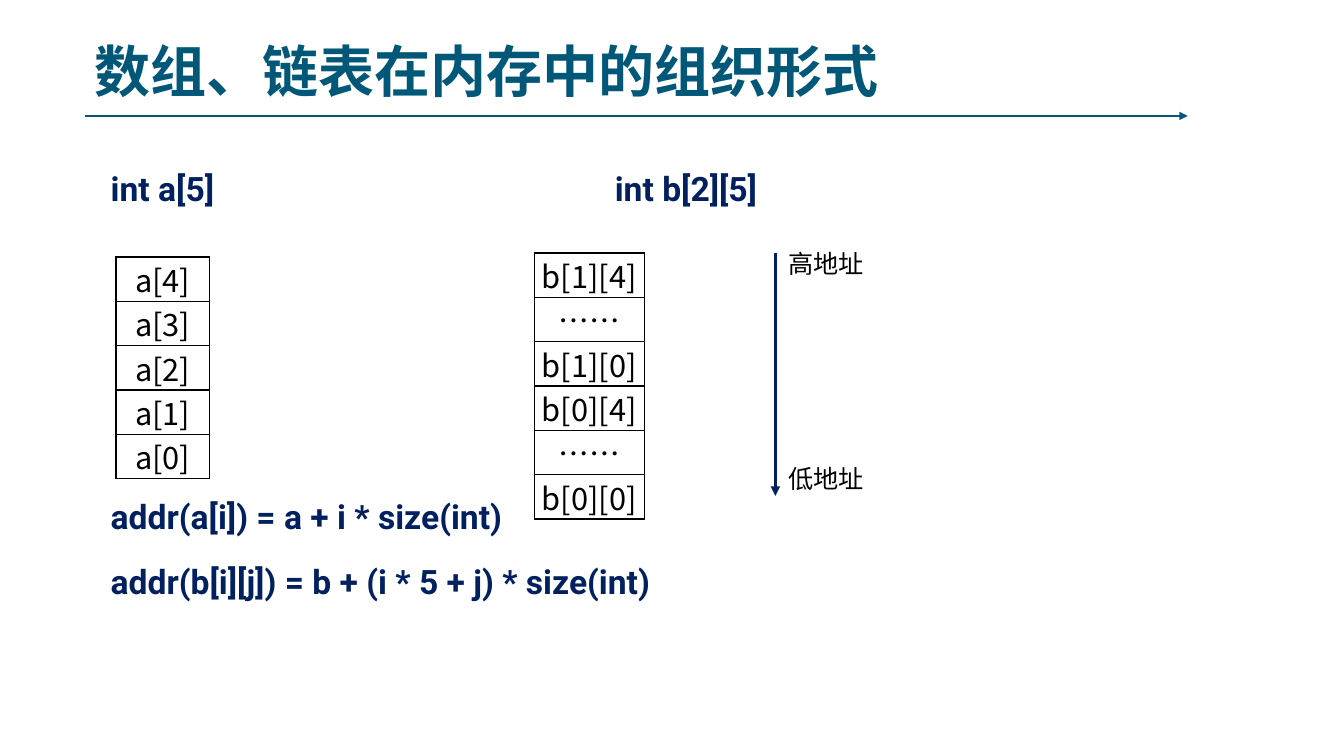
from lxml import etree
from pptx import Presentation
from pptx.dml.color import RGBColor
from pptx.enum.shapes import MSO_CONNECTOR
from pptx.enum.text import MSO_ANCHOR, PP_ALIGN
from pptx.oxml.ns import qn
from pptx.util import Inches, Pt

STRAIGHT = MSO_CONNECTOR.STRAIGHT
TOP, MIDDLE, BOTTOM = MSO_ANCHOR.TOP, MSO_ANCHOR.MIDDLE, MSO_ANCHOR.BOTTOM
CENTER = PP_ALIGN.CENTER

TEAL = RGBColor(0x00, 0x57, 0x78)
NAVY = RGBColor(0x00, 0x20, 0x60)
BLACK = RGBColor(0x00, 0x00, 0x00)

TITLE = {"size": Pt(40), "name": "Noto Sans CJK SC", "bold": True}
CODE = {"size": Pt(24), "name": "Roboto", "bold": True}
CELL = {"size": Pt(22), "name": "Noto Sans CJK SC"}
LABEL = {"size": Pt(18), "name": "Lato"}

ROW_HEIGHT = 0.44


def add_run(p, text, style, color):
    r = p.add_run()
    r.text = text
    for key, value in style.items():
        setattr(r.font, key, value)
    r.font.color.rgb = color
    ea = etree.SubElement(r._r.get_or_add_rPr(), qn("a:ea"))
    ea.set("typeface", style["name"])


def add_text(s, box, lines, style, color, anchor=TOP):
    tf = s.shapes.add_textbox(*map(Inches, box)).text_frame
    tf.word_wrap = True
    tf.vertical_anchor = anchor
    for i, line in enumerate(lines):
        p = tf.paragraphs[0]
        if i:
            p = tf.add_paragraph()
            p.space_before = Pt(18)
        add_run(p, line, style, color)


def add_arrow(s, x1, y1, x2, y2, color, width):
    line = s.shapes.add_connector(STRAIGHT, *map(Inches, (x1, y1, x2, y2)))
    line.line.color.rgb = color
    line.line.width = Pt(width)
    etree.SubElement(line.line._get_or_add_ln(), qn("a:tailEnd")).set("type", "triangle")
    etree.SubElement(line._element.spPr, qn("a:effectLst"))


def add_borders(cell):
    tcPr = cell._tc.get_or_add_tcPr()
    for i, side in enumerate(("lnL", "lnR", "lnT", "lnB")):
        ln = etree.Element(qn(f"a:{side}"), w=str(Pt(1)))
        fill = etree.SubElement(ln, qn("a:solidFill"))
        etree.SubElement(fill, qn("a:srgbClr")).set("val", str(BLACK))
        tcPr.insert(i, ln)


def add_memory(s, left, top, width, names):
    height = ROW_HEIGHT * len(names)
    table = s.shapes.add_table(len(names), 1, *map(Inches, (left, top, width, height))).table
    table.first_row = table.horz_banding = False
    for row, name in zip(table.rows, names):
        row.height = Inches(ROW_HEIGHT)
        cell = row.cells[0]
        cell.margin_left = cell.margin_right = Inches(0.07)
        cell.margin_top = cell.margin_bottom = 0
        cell.vertical_anchor = MIDDLE
        cell.fill.background()
        add_borders(cell)
        p = cell.text_frame.paragraphs[0]
        p.alignment = CENTER
        add_run(p, name, CELL, BLACK)


def add_header(s, left, top, width, height):
    add_text(s, (left, top, 8.98, height), ["数组、链表在内存中的组织形式"], TITLE, TEAL, BOTTOM)
    rule_y = top + height + 0.07
    add_arrow(s, left, rule_y, left + width, rule_y, TEAL, 1.5)


def add_declarations(s, left, top):
    add_text(s, (left, top, 3, 0.5), ["int a[5]"], CODE, NAVY)
    add_text(s, (left + 5, top, 3, 0.5), ["int b[2][5]"], CODE, NAVY)


def add_formulas(s, left, top):
    formulas = ["addr(a[i]) = a + i * size(int)",
                "addr(b[i][j]) = b + (i * 5 + j) * size(int)"]
    add_text(s, (left, top, 7, 1.2), formulas, CODE, NAVY)


def add_address_axis(s, left, top, height):
    add_arrow(s, left, top, left, top + height, NAVY, 2.25)
    for label, y in (("高地址", top - 0.1), ("低地址", top + height - 0.37)):
        add_text(s, (left + 0.03, y, 1.09, 0.4), [label], LABEL, BLACK)


def main():
    prs = Presentation()
    prs.slide_width, prs.slide_height = Inches(13.33), Inches(7.5)
    s = prs.slides.add_slide(prs.slide_layouts[6])
    add_header(s, 0.84, 0, 10.94, 1.08)
    add_declarations(s, 1, 1.62)
    add_formulas(s, 1, 4.87)
    add_memory(s, 1.15, 2.55, 0.93, [f"a[{i}]" for i in range(4, -1, -1)])
    add_memory(s, 5.3, 2.51, 1.09,
               [name for i in (1, 0) for name in (f"b[{i}][4]", "……", f"b[{i}][0]")])
    add_address_axis(s, 7.69, 2.51, 2.41)
    prs.save("out.pptx")


if __name__ == "__main__":
    main()
